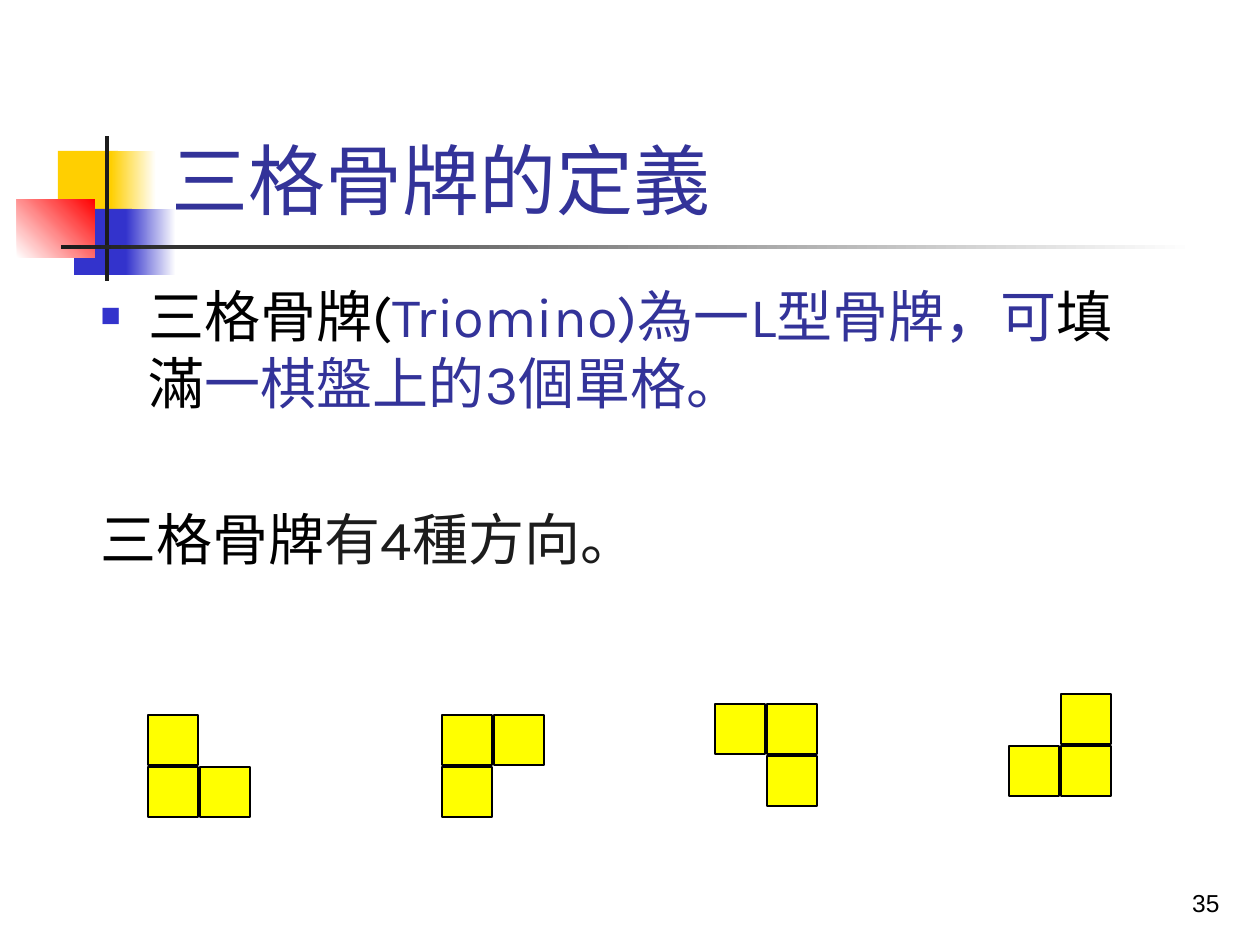
import itertools

import pptx
import pptx.dml.color
import pptx.enum.shapes
import pptx.enum.text
import pptx.oxml
import pptx.oxml.ns
import pptx.util

COLORS = {
    "gold": "FFCF01", "blue": "3333CC", "red": "FF0000", "white": "FFFFFF",
    "charcoal": "1C1C1C", "navy": "333399", "black": "000000", "yellow": "FFFF00",
}
ALIGN = pptx.enum.text.PP_ALIGN
ANCHOR = pptx.enum.text.MSO_ANCHOR


class SlideBuilder:
    scale = 914400 / 126
    heading_font = "Karla"
    number_font = "Arial"
    hanging = 48

    def __init__(self, deck):
        deck.slide_width = self.emu(1260)
        deck.slide_height = self.emu(945)
        self.slide = deck.slides.add_slide(deck.slide_layouts[1])

    def emu(self, px):
        return pptx.util.Emu(round(px * self.scale))

    def rgb(self, color):
        return pptx.dml.color.RGBColor.from_string(COLORS[color])

    def apply(self, target, values):
        for attribute, value in values.items():
            setattr(target, attribute, value)

    def block(self, parent, box, color, fade=None, angle=0, outline=None):
        block = parent.shapes.add_shape(
            pptx.enum.shapes.MSO_SHAPE.RECTANGLE, *map(self.emu, box))
        block.shadow.inherit = False
        if fade:
            block.fill.gradient()
            block.fill.gradient_angle = angle
            for stop, name in zip(block.fill.gradient_stops, (color, fade)):
                stop.color.rgb = self.rgb(name)
        else:
            block.fill.solid()
            block.fill.fore_color.rgb = self.rgb(color)
        if outline:
            block.line.color.rgb = self.rgb(outline)
            block.line.width = pptx.util.Pt(1)
        else:
            block.line.fill.background()

    def place(self, holder, box, anchor):
        self.slide.shapes._spTree.append(holder._element)
        self.apply(holder, dict(zip(("left", "top", "width", "height"), map(self.emu, box))))
        self.apply(holder.text_frame, {
            "word_wrap": True,
            "auto_size": pptx.enum.text.MSO_AUTO_SIZE.NONE,
            "vertical_anchor": anchor,
        })
        return holder.text_frame

    def add_runs(self, paragraph, pieces, size, font, align=ALIGN.LEFT):
        paragraph.alignment = align
        for text, color in pieces:
            run = paragraph.add_run()
            run.text = text
            self.apply(run.font, {"size": pptx.util.Pt(size), "name": font})
            run.font.color.rgb = self.rgb(color)

    def title(self, box, text, color):
        frame = self.place(self.slide.shapes.title, box, ANCHOR.BOTTOM)
        self.add_runs(frame.paragraphs[0], [(text, color)], 44, self.heading_font)

    def body(self, box, statements):
        frame = self.place(self.slide.placeholders[1], box, ANCHOR.TOP)
        for index, (pieces, gap, bullet) in enumerate(statements):
            paragraph = frame.add_paragraph() if index else frame.paragraphs[0]
            paragraph.space_before = pptx.util.Pt(gap)
            self.add_runs(paragraph, pieces, 32, self.heading_font)
            self.bullet(paragraph, bullet)

    def bullet(self, paragraph, color):
        properties = paragraph._p.get_or_add_pPr()
        properties.set("marL", str(self.emu(self.hanging)))
        properties.set("indent", str(-self.emu(self.hanging)))
        marks = [f'<a:buClr {{}}><a:srgbClr val="{COLORS[color]}"/></a:buClr>',
                 '<a:buSzPct {} val="60000"/>',
                 f'<a:buFont {{}} typeface="{self.number_font}"/>',
                 '<a:buChar {} char="■"/>'] if color else ['<a:buNone {}/>']
        for mark in marks:
            properties.append(pptx.oxml.parse_xml(mark.format(pptx.oxml.ns.nsdecls("a"))))

    def triomino(self, left, top, missing, side=50, pitch=52):
        group = self.slide.shapes.add_group_shape()
        for column, row in itertools.product(range(2), repeat=2):
            if (column, row) != missing:
                self.block(group, (left + column * pitch, top + row * pitch, side, side),
                           "yellow", outline="black")

    def page_number(self, box, text):
        frame = self.place(self.slide.shapes.add_textbox(0, 0, 0, 0), box, ANCHOR.BOTTOM)
        self.add_runs(frame.paragraphs[0], [(text, "black")], 14, self.number_font, ALIGN.RIGHT)


def main():
    deck = pptx.Presentation()
    builder = SlideBuilder(deck)

    ornaments = [
        ((58, 151, 60, 66), "gold"),
        ((111, 151, 45, 66), "gold", "white"),
        ((74, 209, 58, 66), "blue"),
        ((126, 209, 50, 66), "blue", "white"),
        ((17, 199, 78, 59), "white", "red", 45),
        ((105, 136, 4, 145), "charcoal"),
        ((61, 245, 1134, 4), "charcoal", "white"),
    ]
    for ornament in ornaments:
        builder.block(builder.slide, *ornament)

    builder.title((159, 29, 1074, 202), "三格骨牌的定義", "navy")
    definition = [("三格骨牌(", "black"), ("Triomino)為一L型骨牌，可", "navy"),
                  ("填滿", "black"), ("一棋盤上的3個單格。", "navy")]
    directions = [("三格骨牌", "black"), ("有4種方向。", "charcoal")]
    builder.body((88, 275, 1071, 168), [(definition, 6.4, "blue"), (directions, 51, None)])

    triominoes = [(148, 715, (1, 0)), (442, 715, (1, 1)),
                  (715, 704, (0, 1)), (1009, 694, (0, 0))]
    for triomino in triominoes:
        builder.triomino(*triomino)

    builder.page_number((970, 861, 262, 63), "35")
    deck.save("out.pptx")


if __name__ == "__main__":
    main()
